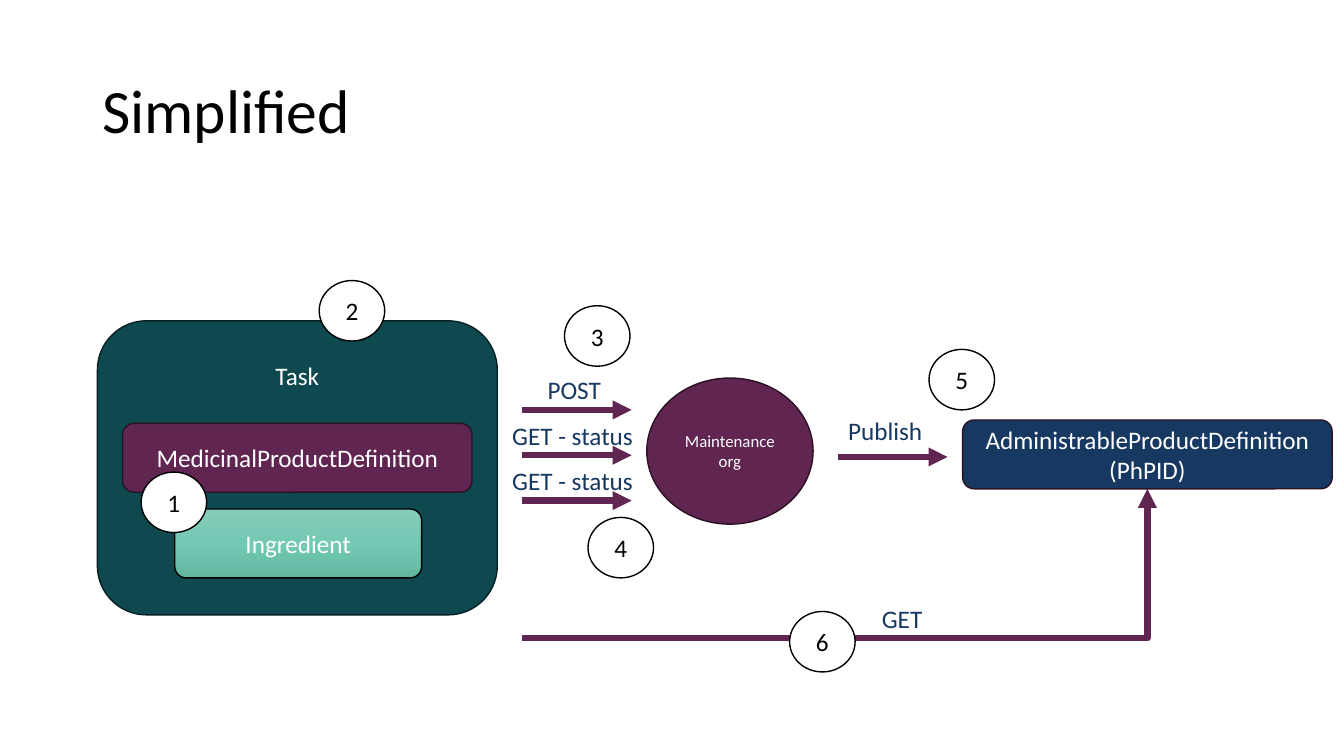
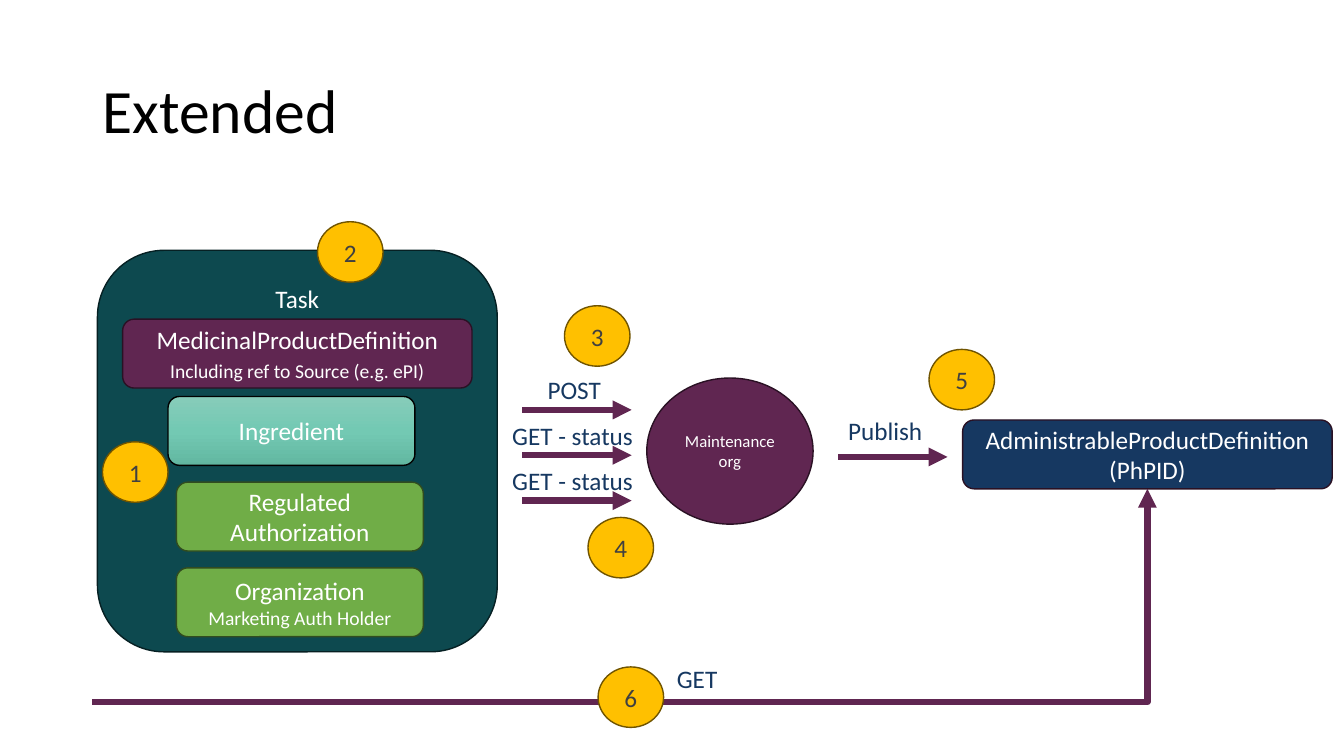
from copy import deepcopy
from dataclasses import dataclass
from typing import NamedTuple

from pptx import Presentation
from pptx.dml.color import RGBColor
from pptx.enum.shapes import MSO_CONNECTOR, MSO_SHAPE
from pptx.enum.text import MSO_ANCHOR, PP_ALIGN
from pptx.oxml.ns import qn
from pptx.shapes.autoshape import Shape
from pptx.shapes.connector import Connector
from pptx.slide import Slide
from pptx.text.text import TextFrame
from pptx.util import Inches, Pt

ROUND, OVAL = MSO_SHAPE.ROUNDED_RECTANGLE, MSO_SHAPE.OVAL
STRAIGHT, ELBOW = MSO_CONNECTOR.STRAIGHT, MSO_CONNECTOR.ELBOW
TOP, MIDDLE = MSO_ANCHOR.TOP, MSO_ANCHOR.MIDDLE
LEFT, CENTER = PP_ALIGN.LEFT, PP_ALIGN.CENTER

COLS, ROWS = 80, 45
CELL = Inches(1 / 6)
FONT = "Calibri"
COLORS = {
    "black": "000000", "white": "FFFFFF", "gray": "404040",
    "teal": "0D494F", "deep": "062023",
    "plum": "602651", "dark": "2A1124",
    "navy": "163861",
    "green": "70AD47", "moss": "314C1F",
    "gold": "FFC000", "bronze": "705400",
    "light": "87CCBA", "mint": "73C9B3", "shade": "62B7A1",
}
BLENDS = {"blend": ("light", "mint", "shade")}


class Spot(NamedTuple):
    """A point in columns and rows."""
    x: float
    y: float


class Area(NamedTuple):
    """A frame in columns and rows."""
    x: float
    y: float
    w: float
    h: float


class Line(NamedTuple):
    """One paragraph, with its size and the gap above it in points."""
    text: str
    size: float = 18
    gap: float = 0


class Skin(NamedTuple):
    """Fill, edge and text colours."""
    fill: str
    edge: str
    ink: str = "white"


@dataclass(frozen=True)
class Box:
    """A filled shape with text; head is the top inset of text set at the top."""
    area: Area
    skin: Skin
    lines: tuple[Line, ...]
    form: int = ROUND
    head: float | None = None


@dataclass(frozen=True)
class Label:
    """A caption beside an arrow."""
    area: Area
    text: str


@dataclass(frozen=True)
class Scene:
    """What one slide does not share with the other."""
    title: str
    boxes: tuple[Box, ...]
    badge: Skin
    first: Spot
    second: Spot
    last: Spot
    start: Spot
    label: Spot


TASK, PLUM = Skin("teal", "deep"), Skin("plum", "dark")
MINT, GREEN = Skin("blend", "black"), Skin("green", "moss")
PLAIN, GOLD = Skin("white", "black", "black"), Skin("gold", "bronze", "gray")

BAR = 4.1
CAPTION = 2.4
BADGE = (3.9, 3.6)
REACH = 6.5
FLOW_X, FLOW_Y, STEP = 31.1, 24.4, 2.7
GOAL = Spot(68.3, 29.1)
TITLE = Area(5.5, 2.4, 69, 8.7)
CALLS = ((32, 4.5, "POST"), (29.9, 9.4, "GET - status"), (29.9, 9.4, "GET - status"))
PUBLISH = Spot(49.9, 27.2)
MIDS = (Spot(33.6, 18.2), Spot(35, 30.8), Spot(55.3, 20.8))

SHARED = (
    Box(Area(38.5, 22.5, 9.9, 8.7), PLUM, (Line("Maintenance org", 12),), OVAL),
    Box(Area(57.3, 25, 22, BAR), Skin("navy", "dark"),
        (Line("AdministrableProductDefinition"), Line("(PhPID)"))),
)


def task(y: float, h: float, head: float) -> Box:
    """Return the Task panel."""
    return Box(Area(5.8, y, 23.8, h), TASK, (Line("Task"),), head=head)


def product(y: float, *more: Line) -> Box:
    """Return the product bar."""
    return Box(Area(7.3, y, 20.8, BAR), PLUM, (Line("MedicinalProductDefinition"), *more))


def part(x: float, y: float, skin: Skin, *lines: Line) -> Box:
    """Return a short bar inside the Task panel."""
    return Box(Area(x, y, 14.7, BAR), skin, lines)


SCENES = (
    Scene(
        "Simplified",
        (task(19.1, 17.5, 1.5), product(25.2), part(10.4, 30.3, MINT, Line("Ingredient"))),
        PLAIN, first=Spot(8.4, 28.1), second=Spot(19, 16.7), last=Spot(47, 36.4),
        start=Spot(FLOW_X, 38), label=Spot(51.9, 35.6),
    ),
    Scene(
        "Extended",
        (
            task(14.9, 23.9, 0.8),
            product(19, Line("Including ref to Source (e.g. ePI)", 14, 3)),
            part(10, 23.6, MINT, Line("Ingredient")),
            part(10.5, 28.7, GREEN, Line("Regulated Authorization")),
            part(10.5, 33.8, GREEN, Line("Organization"), Line("Marketing Auth Holder", 14)),
        ),
        GOLD, first=Spot(6.1, 26.3), second=Spot(18.9, 13.2), last=Spot(35.6, 39.7),
        start=Spot(5.5, 41.8), label=Spot(39.7, 39.2),
    ),
)


def color(name: str) -> RGBColor:
    """Look up a colour."""
    return RGBColor.from_string(COLORS[name])


def cells(*sizes: float) -> list[int]:
    """Turn grid counts into lengths."""
    return [round(size * CELL) for size in sizes]


def write(frame: TextFrame, lines: tuple[Line, ...], ink: str, align: int, anchor: int) -> None:
    """Fill a text frame with paragraphs."""
    frame.word_wrap = True
    frame.vertical_anchor = anchor
    for index, line in enumerate(lines):
        para = frame.add_paragraph() if index else frame.paragraphs[0]
        para.text = line.text
        para.alignment = align
        if line.gap:
            para.space_before = Pt(line.gap)
        para.font.name = FONT
        para.font.size = Pt(line.size)
        para.font.color.rgb = color(ink)


def paint(shape: Shape, fill: str) -> None:
    """Fill a shape with one colour or a downward blend."""
    if fill not in BLENDS:
        shape.fill.solid()
        shape.fill.fore_color.rgb = color(fill)
        return
    shape.fill.gradient()
    shape.fill.gradient_angle = 270
    stops = shape._element.spPr.find(".//" + qn("a:gsLst"))
    stops.insert(1, deepcopy(stops[0]))
    names = BLENDS[fill]
    for index, (stop, name) in enumerate(zip(shape.fill.gradient_stops, names)):
        stop.color.rgb = color(name)
        stop.position = index / (len(names) - 1)


def draw_box(slide: Slide, box: Box) -> None:
    """Draw a filled shape with its text."""
    shape = slide.shapes.add_shape(box.form, *cells(*box.area))
    shape.shadow.inherit = False
    paint(shape, box.skin.fill)
    shape.line.color.rgb = color(box.skin.edge)
    shape.line.width = Pt(1)
    if box.head is not None:
        shape.text_frame.margin_top = cells(box.head)[0]
    anchor = MIDDLE if box.head is None else TOP
    write(shape.text_frame, box.lines, box.skin.ink, CENTER, anchor)


def draw_arrow(slide: Slide, start: Spot, end: Spot, kind: int = STRAIGHT) -> Connector:
    """Draw a thick arrow."""
    arrow = slide.shapes.add_connector(kind, *cells(*start, *end))
    arrow.line.color.rgb = color("plum")
    arrow.line.width = Pt(4.5)
    tip = arrow.line._get_or_add_ln().makeelement(qn("a:tailEnd"), {"type": "triangle"})
    arrow.line._get_or_add_ln().append(tip)
    props = arrow._element.spPr
    props.append(props.makeelement(qn("a:effectLst"), {}))
    return arrow


def draw_turn(slide: Slide, start: Spot, end: Spot) -> None:
    """Draw an arrow with a single bend."""
    arrow = draw_arrow(slide, start, end, ELBOW)
    arrow._element.spPr.find(qn("a:prstGeom")).set("prst", "bentConnector2")


def draw_label(slide: Slide, label: Label) -> None:
    """Draw a caption."""
    box = slide.shapes.add_textbox(*cells(*label.area))
    write(box.text_frame, (Line(label.text),), "navy", LEFT, TOP)


def draw_title(slide: Slide, text: str) -> None:
    """Draw the slide title."""
    box = slide.shapes.add_textbox(*cells(*TITLE))
    write(box.text_frame, (Line(text, 44),), "black", LEFT, MIDDLE)
    box.text_frame.paragraphs[0].line_spacing = 0.9


def draw_flow(slide: Slide) -> None:
    """Draw the calls and the publish step."""
    for index, (x, width, text) in enumerate(CALLS):
        y = FLOW_Y + index * STEP
        draw_arrow(slide, Spot(FLOW_X, y), Spot(FLOW_X + REACH, y))
        draw_label(slide, Label(Area(x, y - CAPTION, width, CAPTION), text))
    draw_arrow(slide, PUBLISH, Spot(PUBLISH.x + REACH, PUBLISH.y))
    draw_label(slide, Label(Area(PUBLISH.x, 24.4, 5.9, CAPTION), "Publish"))


def draw_scene(slide: Slide, scene: Scene) -> None:
    """Draw a whole slide."""
    draw_title(slide, scene.title)
    for box in scene.boxes + SHARED:
        draw_box(slide, box)
    draw_flow(slide)
    draw_turn(slide, scene.start, GOAL)
    draw_label(slide, Label(Area(*scene.label, 4.5, CAPTION), "GET"))
    spots = (scene.first, scene.second, *MIDS, scene.last)
    for number, spot in enumerate(spots, 1):
        draw_box(slide, Box(Area(*spot, *BADGE), scene.badge, (Line(str(number)),), OVAL))


def main() -> None:
    """Build and save the deck."""
    deck = Presentation()
    deck.slide_width, deck.slide_height = cells(COLS, ROWS)
    for scene in SCENES:
        draw_scene(deck.slides.add_slide(deck.slide_layouts[6]), scene)
    deck.save("out.pptx")


if __name__ == "__main__":
    main()
